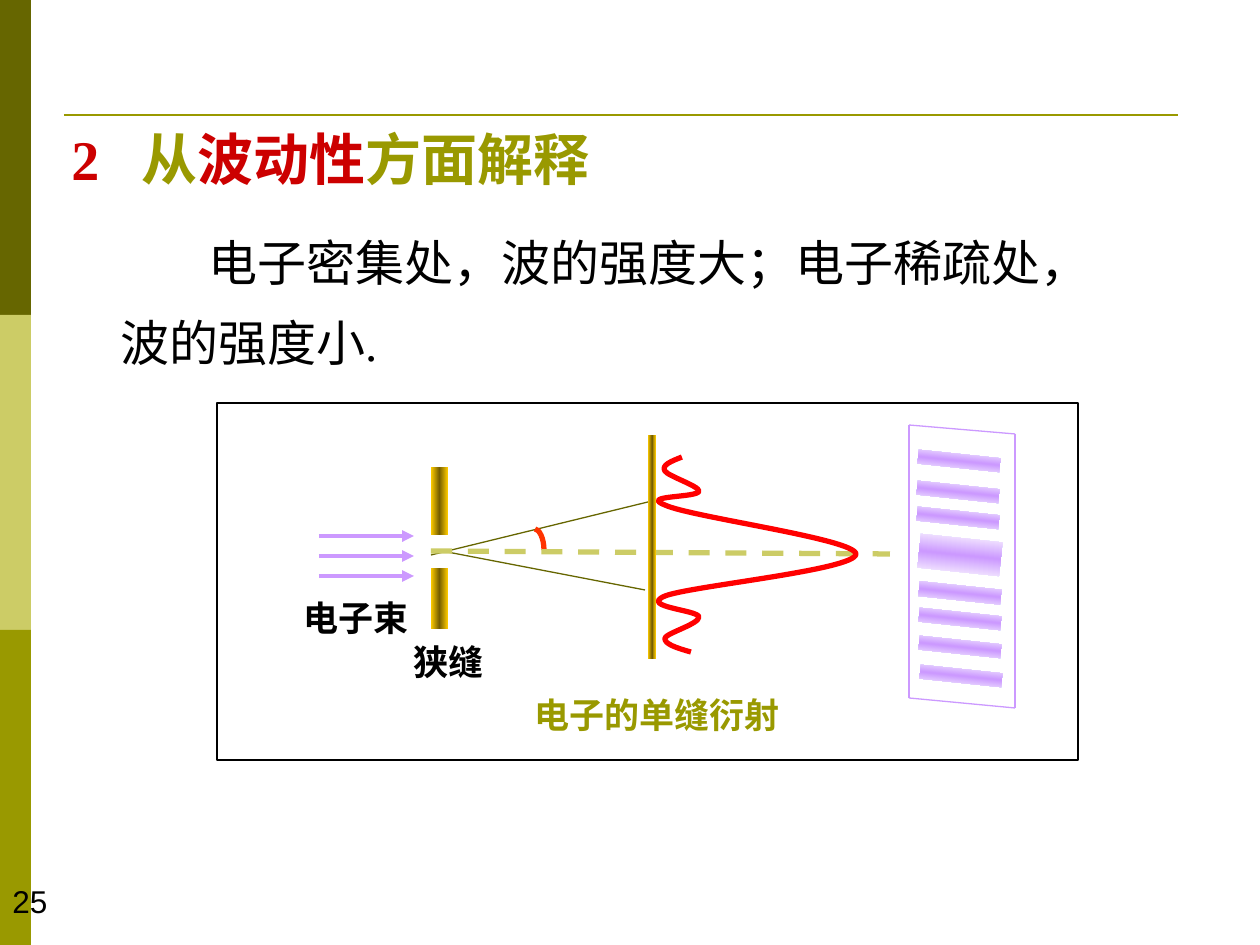
from lxml import etree
from pptx import Presentation
from pptx.dml.color import RGBColor
from pptx.enum.dml import MSO_LINE
from pptx.enum.shapes import MSO_CONNECTOR, MSO_SHAPE
from pptx.enum.text import MSO_ANCHOR
from pptx.oxml.ns import qn
from pptx.util import Emu, Pt

DASH = MSO_LINE.DASH
STRAIGHT = MSO_CONNECTOR.STRAIGHT
RECTANGLE = MSO_SHAPE.RECTANGLE
TOP = MSO_ANCHOR.TOP
BLANK_LAYOUT = 6
PX_PER_INCH = 126
SERIF = "Times New Roman"

COLORS = {
    "dark_olive": "666600", "olive": "999900", "light_olive": "CCCC66",
    "black": "000000", "white": "FFFFFF", "crimson": "CC0000", "red": "FF0000",
    "orange": "FF3300", "lilac": "CC99FF", "gold": "FFCC00", "bronze": "765E00",
}

# Bezier curves: start point, then control points in threes
INTENSITY_CURVE = [
    (682, 457), (672, 461), (661, 465), (665, 471), (668, 476), (699, 486), (699, 491),
    (699, 498), (639, 495), (665, 505), (690, 517), (856, 539), (856, 554),
    (856, 570), (690, 586), (665, 596), (639, 607), (699, 610), (699, 617),
    (699, 624), (667, 633), (665, 638), (664, 644), (677, 648), (691, 652),
]
ANGLE_ARC = [(535, 529), (539, 529), (544, 538), (544, 550)]

# Left, centre and thickness of each fringe on the screen
FRINGES = [
    (918, 461, 14), (917, 492, 14), (917, 518, 14), (919, 555, 34),
    (919, 593, 15), (919, 619, 14), (919, 647, 14), (920, 676, 14),
]
FRINGE_WIDTH, FRINGE_TILT = 82, 6


def px(value):
    return Emu(round(value * 914400 / PX_PER_INCH))


def color(name):
    return RGBColor.from_string(COLORS[name])


def style_line(line, name, width):
    line.color.rgb = color(name)
    line.width = Pt(width)


def set_gradient(shape, edge, middle, angle):
    """Fill with a gradient that runs edge, middle, edge, at a clockwise angle."""
    shape.fill.gradient()
    gradient = shape.fill._xPr.find(qn("a:gradFill"))
    gradient.set("rotWithShape", "1")
    for child in list(gradient):
        gradient.remove(child)
    stops = etree.SubElement(gradient, qn("a:gsLst"))
    for position, name in ((0, edge), (50, middle), (100, edge)):
        stop = etree.SubElement(stops, qn("a:gs"), pos=str(position * 1000))
        etree.SubElement(stop, qn("a:srgbClr"), val=COLORS[name])
    etree.SubElement(gradient, qn("a:lin"), ang=str(angle * 60000), scaled="0")


def add_rectangle(slide, left, top, width, height, fill=None, outline=None):
    shape = slide.shapes.add_shape(RECTANGLE, px(left), px(top), px(width), px(height))
    shape.shadow.inherit = False
    if fill:
        shape.fill.solid()
        shape.fill.fore_color.rgb = color(fill)
    if outline:
        style_line(shape.line, outline, 0.75)
    else:
        shape.line.fill.background()
    return shape


def add_plate(slide, left, top, width, height):
    set_gradient(add_rectangle(slide, left, top, width, height), "gold", "bronze", 0)


def add_fringe(slide, left, center, thickness):
    shape = add_rectangle(slide, left, center - thickness / 2, FRINGE_WIDTH, thickness)
    shape.rotation = FRINGE_TILT
    set_gradient(shape, "white", "lilac", 90)


def add_line(slide, start, end, name, width, dashed=False, arrow=False):
    points = [px(value) for value in (*start, *end)]
    connector = slide.shapes.add_connector(STRAIGHT, *points)
    style_line(connector.line, name, width)
    if dashed:
        connector.line.dash_style = DASH
    if arrow:
        line = connector.line._get_or_add_ln()
        etree.SubElement(line, qn("a:tailEnd"), type="triangle")
    etree.SubElement(connector._element.spPr, qn("a:effectLst"))


def add_curve(slide, controls, name):
    """Draw a chain of cubic Bezier segments."""
    scaled = [(px(x), px(y)) for x, y in controls]
    builder = slide.shapes.build_freeform(*scaled[0])
    builder.add_line_segments(scaled[1:], close=False)
    shape = builder.convert_to_shape()
    shape.shadow.inherit = False
    shape.fill.background()
    style_line(shape.line, name, 3)
    outline = next(shape._element.iter(qn("a:path")))
    segments = outline.findall(qn("a:lnTo"))
    for first in range(0, len(segments), 3):
        curve = etree.SubElement(outline, qn("a:cubicBezTo"))
        for segment in segments[first:first + 3]:
            curve.append(segment[0])
            outline.remove(segment)


def add_text(slide, runs, left, top, width, height, size, font=SERIF, bold=False,
             wrap=True, spacing=None, indent=0, tab=None):
    """Add one paragraph made of (text, colour) runs."""
    box = slide.shapes.add_textbox(px(left), px(top), px(width), px(height))
    frame = box.text_frame
    frame.word_wrap = wrap
    frame.vertical_anchor = TOP
    paragraph = frame.paragraphs[0]
    properties = paragraph._p.get_or_add_pPr()
    if indent:
        properties.set("indent", str(px(indent)))
    if tab:
        tabs = etree.SubElement(properties, qn("a:tabLst"))
        etree.SubElement(tabs, qn("a:tab"), pos=str(px(tab)), algn="l")
    if spacing:
        paragraph.line_spacing = spacing
    for text, name in runs:
        run = paragraph.add_run()
        run.text = text
        run.font.name = font
        run.font.size = Pt(size)
        run.font.bold = bold
        run.font.color.rgb = color(name)


def add_frame(slide):
    for row, name in enumerate(("dark_olive", "light_olive", "olive")):
        add_rectangle(slide, 0, row * 315, 31, 315, fill=name)
    add_line(slide, (64, 115), (1178, 115), "olive", 1.5)
    add_text(slide, [("25", "black")], 0, 876, 294, 50, 18, font="Arial")


def add_diffraction(slide):
    add_rectangle(slide, 217, 403, 861, 357, fill="white", outline="black")
    add_plate(slide, 431, 467, 17, 68)
    add_plate(slide, 431, 568, 17, 61)
    add_line(slide, (431, 555), (648, 502), "dark_olive", 0.75)
    add_line(slide, (437, 550), (645, 590), "dark_olive", 0.75)
    add_curve(slide, ANGLE_ARC, "orange")
    add_line(slide, (431, 551), (890, 554), "light_olive", 3, dashed=True)
    for y in (536, 556, 576):
        add_line(slide, (319, y), (414, y), "lilac", 2.25, arrow=True)
    add_text(slide, [("电子束", "black")], 291, 590, 156, 54, 20, bold=True)
    add_text(slide, [("狭缝", "black")], 401, 634, 130, 54, 20, bold=True)
    add_plate(slide, 648, 435, 8, 224)
    add_curve(slide, INTENSITY_CURVE, "red")
    add_text(slide, [("电子的单缝衍射", "olive")], 522, 687, 272, 54, 20,
             bold=True, wrap=False)
    for fringe in FRINGES:
        add_fringe(slide, *fringe)
    corners = [(909, 425), (1015, 434), (1015, 708), (909, 698)]
    for start, end in zip(corners, corners[1:] + corners[:1]):
        add_line(slide, start, end, "lilac", 0.75)


def main():
    presentation = Presentation()
    presentation.slide_width, presentation.slide_height = px(1260), px(945)
    slide = presentation.slides.add_slide(presentation.slide_layouts[BLANK_LAYOUT])
    add_frame(slide)
    add_text(slide, [("电子密集处，波的强度大；电子稀疏处，波的强度小.", "black")],
             108, 206, 1040, 164, 28, spacing=1.35, indent=88)
    add_text(slide, [("2\t", "crimson"), ("从", "olive"), ("波动性", "crimson"),
                     ("方面解释", "olive")], 59, 118, 680, 79, 32, bold=True, tab=70)
    add_diffraction(slide)
    presentation.save("out.pptx")


if __name__ == "__main__":
    main()
